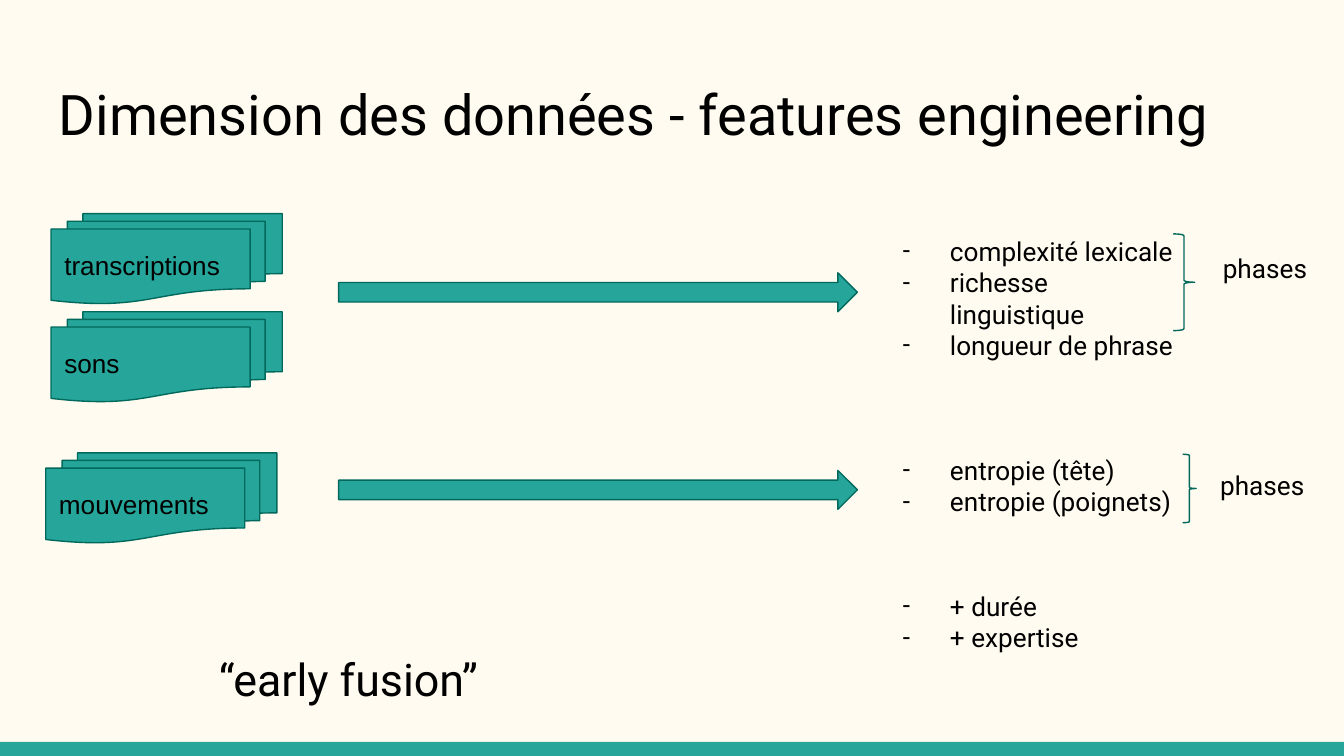
from dataclasses import dataclass

from lxml.etree import SubElement
from pptx import Presentation
from pptx.dml.color import RGBColor
from pptx.enum.shapes import MSO_SHAPE
from pptx.enum.text import MSO_ANCHOR, PP_ALIGN
from pptx.oxml.ns import qn
from pptx.util import Inches, Pt


@dataclass(frozen=True)
class Theme:
    """Colours, fonts and type sizes of the slide."""
    background: RGBColor = RGBColor(0xFF, 0xFB, 0xF0)
    accent: RGBColor = RGBColor(0x26, 0xA6, 0x9A)
    outline: RGBColor = RGBColor(0x00, 0x69, 0x5C)
    text: RGBColor = RGBColor(0, 0, 0)
    font: str = "Roboto"
    label_font: str = "Arial"
    title_size: int = 30
    callout_size: int = 24
    body_size: int = 14
    line_width: float = 0.75


THEME = Theme()


def add_dash(paragraph):
    """Give a paragraph a hanging dash bullet."""
    properties = paragraph._p.get_or_add_pPr()
    properties.set("marL", str(Inches(0.5)))
    properties.set("indent", str(Inches(-0.35)))
    colour = SubElement(properties, qn("a:buClr"))
    SubElement(colour, qn("a:srgbClr"), val=str(THEME.text))
    SubElement(properties, qn("a:buFont"), typeface=THEME.font)
    SubElement(properties, qn("a:buChar"), char="-")


def write_text(shape, *lines, size=THEME.body_size, font=THEME.font,
               anchor=MSO_ANCHOR.TOP, dashes=False):
    """Write one paragraph per line into a shape."""
    frame = shape.text_frame
    frame.word_wrap = True
    frame.vertical_anchor = anchor
    frame.margin_left = frame.margin_right = Inches(0.1)
    frame.margin_top = frame.margin_bottom = Inches(0.1)
    for index, line in enumerate(lines):
        paragraph = frame.add_paragraph() if index else frame.paragraphs[0]
        paragraph.alignment = PP_ALIGN.LEFT
        if dashes:
            add_dash(paragraph)
        run = paragraph.add_run()
        run.text = line
        run.font.size = Pt(size)
        run.font.name = font
        run.font.color.rgb = THEME.text


def add_text(slide, left, top, width, height, *lines, **text_format):
    """Add a text box."""
    box = slide.shapes.add_textbox(
        Inches(left), Inches(top), Inches(width), Inches(height))
    write_text(box, *lines, **text_format)


def add_shape(slide, kind, left, top, width, height, filled=True, outlined=True):
    """Add a preset shape in the theme colours."""
    shape = slide.shapes.add_shape(
        kind, Inches(left), Inches(top), Inches(width), Inches(height))
    shape.shadow.inherit = False
    if filled:
        shape.fill.solid()
        shape.fill.fore_color.rgb = THEME.accent
    else:
        shape.fill.background()
    if outlined:
        shape.line.color.rgb = THEME.outline
        shape.line.width = Pt(THEME.line_width)
    else:
        shape.line.fill.background()
    return shape


def add_documents(slide, left, top, label):
    """Add a labelled stack of documents."""
    stack = add_shape(slide, MSO_SHAPE.FLOWCHART_MULTIDOCUMENT, left, top, 1.72, 0.67)
    write_text(stack, label, font=THEME.label_font, anchor=MSO_ANCHOR.MIDDLE)


def add_arrow(slide, top):
    """Add a block arrow from the data to the features."""
    add_shape(slide, MSO_SHAPE.RIGHT_ARROW, 2.52, top, 3.86, 0.29)


def add_features(slide, top, height, *features):
    """Add a dashed list in the feature column."""
    add_text(slide, 6.47, top, 2.43, height, *features, dashes=True)


def add_brace(slide, left, top, width, height):
    """Add an unfilled right brace."""
    add_shape(slide, MSO_SHAPE.RIGHT_BRACE, left, top, width, height, filled=False)


def main():
    """Build and save the slide."""
    presentation = Presentation()
    presentation.slide_width = Inches(10)
    presentation.slide_height = Inches(10 * 9 / 16)
    slide = presentation.slides.add_slide(presentation.slide_layouts[6])
    slide.background.fill.solid()
    slide.background.fill.fore_color.rgb = THEME.background

    add_shape(slide, MSO_SHAPE.RECTANGLE, 0, 5.52, 10, 0.11, outlined=False)
    add_text(slide, 0.34, 0.49, 9.32, 0.67,
             "Dimension des données - features engineering", size=THEME.title_size)

    for left, top, label in ((0.38, 1.59, "transcriptions"),
                             (0.38, 2.32, "sons"),
                             (0.34, 3.37, "mouvements")):
        add_documents(slide, left, top, label)
    for top in (2.03, 3.5):
        add_arrow(slide, top)

    add_features(slide, 1.65, 1.06, "complexité lexicale",
                 "richesse linguistique", "longueur de phrase")
    add_features(slide, 3.28, 0.72, "entropie (tête)", "entropie (poignets)")
    add_features(slide, 4.29, 0.72, "+ durée", "+ expertise")
    add_text(slide, 1.53, 4.75, 2.63, 0.58, "“early fusion”", size=THEME.callout_size)

    add_brace(slide, 8.73, 1.74, 0.16, 0.72)
    add_brace(slide, 8.8, 3.38, 0.1, 0.51)
    for left, top in ((9, 1.78), (8.98, 3.39)):
        add_text(slide, left, top, 0.84, 0.34, "phases")

    presentation.save("out.pptx")


if __name__ == "__main__":
    main()
